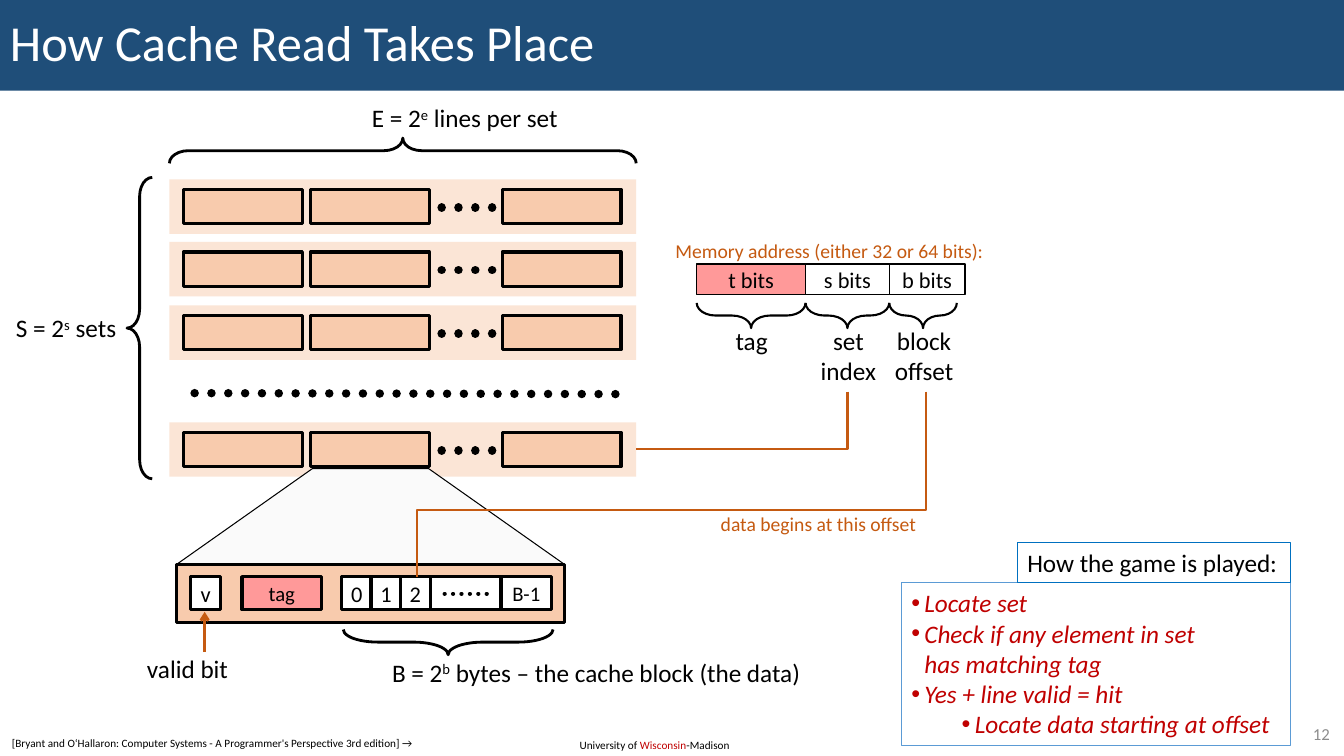
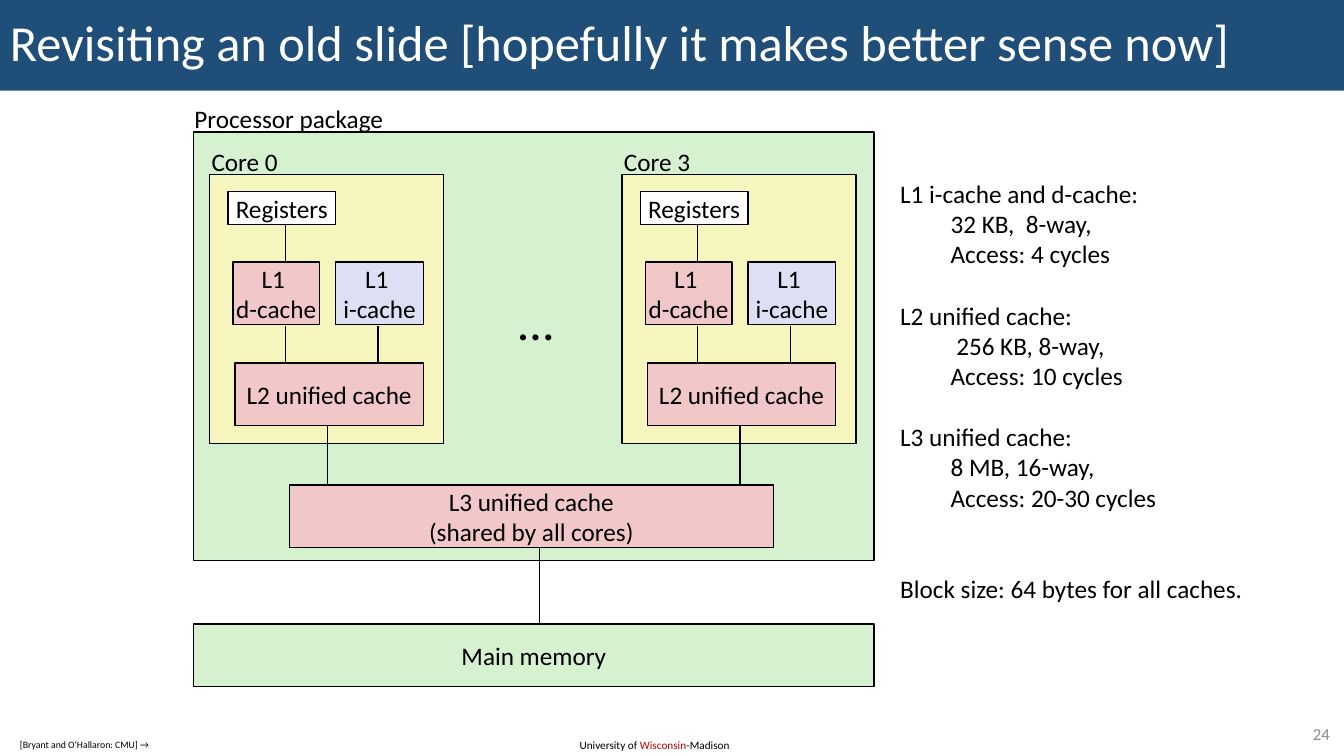
"""Builds two lecture slides on how processor caches work."""
from lxml.etree import SubElement
from pptx import Presentation
from pptx.dml.color import RGBColor
from pptx.enum.dml import MSO_LINE
from pptx.enum.shapes import MSO_CONNECTOR as CONN, MSO_SHAPE as SHAPE
from pptx.enum.text import MSO_ANCHOR as ANCHOR, MSO_AUTO_SIZE as FIT, PP_ALIGN as ALIGN
from pptx.oxml.ns import qn
from pptx.util import Inches, Pt

FONT = "Calibri"
C = {
    "black": "000000", "white": "FFFFFF", "navy": "1F4E79", "grey": "8C8C8C",
    "red": "C00000", "rust": "C55A11", "blue": "0070C0", "sky": "5B9BD5",
    "set": "FBE5D6", "line": "F8CBAD", "tag": "FF9999", "zoom": "FAFAFA",
    "green": "D5F1CF", "yellow": "F6F5BD", "pink": "F1C7C7", "lilac": "DEDFF5",
}


def box(s, x, y, w, h, text="", kind=SHAPE.RECTANGLE, fill=None, line=None, width=1.0,
        adj=None, rot=0, size=18, color="black", accent=None, italic=False,
        align=ALIGN.CENTER, anchor=ANCHOR.MIDDLE, wrap=False):
    """Adds a shape; a list as text alternates plain and accented (or raised) runs."""
    sp = s.shapes.add_shape(kind, Inches(x), Inches(y), Inches(w), Inches(h))
    sp.shadow.inherit = False
    sp.rotation = rot
    if adj is not None:
        sp.adjustments[0] = adj
    if fill:
        sp.fill.solid()
        sp.fill.fore_color.rgb = RGBColor.from_string(C[fill])
    else:
        sp.fill.background()
    if line:
        sp.line.color.rgb = RGBColor.from_string(C[line])
        sp.line.width = Pt(width)
    else:
        sp.line.fill.background()
    if not text:
        return sp
    tf = sp.text_frame
    tf.word_wrap = wrap
    tf.vertical_anchor = anchor
    if anchor == ANCHOR.TOP and not wrap:
        tf.auto_size = FIT.SHAPE_TO_FIT_TEXT
    paragraphs = text.split("\n") if isinstance(text, str) else [text]
    for i, content in enumerate(paragraphs):
        p = tf.add_paragraph() if i else tf.paragraphs[0]
        p.alignment = align
        if isinstance(content, str):
            p.text = content
        else:
            for part in content:
                p.add_run().text = part
        for j, r in enumerate(p.runs):
            accented = not isinstance(content, str) and j % 2
            r.font.name, r.font.size, r.font.italic = FONT, Pt(size), italic
            r.font.color.rgb = RGBColor.from_string(C[accent if accented and accent else color])
            if accented and not accent:
                r.font._element.set("baseline", "30000")
    return sp


def wire(s, x1, y1, x2, y2, color="black", width=1.0, kind=CONN.STRAIGHT, dotted=False, arrow=False):
    """Adds a connector, optionally dotted or with an arrowhead."""
    c = s.shapes.add_connector(kind, Inches(x1), Inches(y1), Inches(x2), Inches(y2))
    SubElement(c.element.spPr, qn("a:effectLst"))
    c.line.color.rgb = RGBColor.from_string(C[color])
    c.line.width = Pt(width)
    ln = c.element.spPr.find(qn("a:ln"))
    if dotted:
        c.line.dash_style = MSO_LINE.ROUND_DOT
        ln.set("cap", "rnd")
    if arrow:
        SubElement(ln, qn("a:tailEnd"), type="arrow")
    return c


LABEL = dict(align=ALIGN.LEFT, anchor=ANCHOR.TOP)

prs = Presentation()
prs.slide_width, prs.slide_height = Inches(13.33), Inches(7.5)

frames = [
    ("How Cache Read Takes Place", "12",
     "[Bryant and O‘Hallaron: Computer Systems - A Programmer's Perspective 3rd edition] →",
     (0.02, 7.26, 4.31, 0.24), 8),
    ("Revisiting an old slide [hopefully it makes better sense now]", "24",
     "[Bryant and O‘Hallaron: CMU] →", (0.1, 7.28, 1.5, 0.22), 7),
]
slides = []
for title, number, source, place, size in frames:
    s = prs.slides.add_slide(prs.slide_layouts[6])
    box(s, 5.65, 7.28, 1.72, 0.24, ["University of ", "Wisconsin", "-Madison"],
        size=8, accent="red", wrap=True, **LABEL)
    sp = box(s, 0, 0, 13.33, 0.9, title, fill="navy", size=36, color="white",
             align=ALIGN.LEFT, wrap=True)
    sp.text_frame.paragraphs[0].line_spacing = 0.9
    box(s, 12.53, 7.13, 0.76, 0.29, number, size=12, color="grey", align=ALIGN.RIGHT, wrap=True)
    box(s, *place, source, fill="white", size=size, wrap=True, **LABEL)
    slides.append(s)

s = slides[0]
BRACE = dict(kind=SHAPE.LEFT_BRACE, line="black")
for top in (1.78, 2.4, 3.03, 4.19):
    box(s, 1.68, top, 4.63, 0.54, fill="set")
    for x in (1.82, 3.08, 4.98):
        box(s, x, top + 0.1, 1.18, 0.34, fill="line", line="black", width=2.25)
    wire(s, 4.38, top + 0.28, 4.99, top + 0.28, width=6, dotted=True)
wire(s, 1.93, 3.9, 6.16, 3.91, width=6, dotted=True)
box(s, 3.87, -0.82, 0.25, 4.63, rot=90, adj=0.75, width=2, **BRACE)
box(s, 1.26, 1.76, 0.25, 2.99, adj=0.75, width=2, **BRACE)
box(s, 3.59, 0.97, 2.14, 0.4, ["E = 2", "e", " lines per set"], **LABEL)
box(s, 0.06, 3.05, 1.23, 0.4, ["S = 2", "s", " sets"], **LABEL)

box(s, 1.75, 4.65, 3.85, 0.95, kind=SHAPE.TRAPEZOID, adj=1.418, fill="zoom", line="black", width=0.75)
box(s, 1.75, 5.6, 3.85, 0.58, fill="line", line="black", width=2.25)
for x, w, text, size, fill in [
    (1.89, 0.3, "v", 16, "white"), (2.4, 0.79, "tag", 14.8, "tag"),
    (3.39, 0.3, "0", 16, "white"), (3.68, 0.3, "1", 16, "white"), (3.97, 0.3, "2", 16, "white"),
    (4.97, 0.5, "B-1", 14.8, "white"), (4.27, 0.7, "", 16, "white"),
]:
    box(s, x, 5.72, w, 0.33, text, fill=fill, line="black", width=2.25, size=size)
wire(s, 4.41, 5.89, 4.91, 5.89, width=3, dotted=True)
box(s, 1.36, 6.43, 1.04, 0.4, "valid bit", **LABEL)
wire(s, 2.03, 6.47, 2.03, 6.07, color="rust", width=2, arrow=True)
box(s, 4.32, 5.33, 0.25, 2.08, rot=270, adj=1.37, width=2, **BRACE)
box(s, 3.79, 6.47, 4.37, 0.4, ["B = 2", "b", " bytes – the cache block (the data)"], **LABEL)

box(s, 6.6, 2.32, 3.29, 0.34, "Memory address (either 32 or 64 bits):", size=14, color="rust", **LABEL)
for x, w, brace_w, bits, fill, name, name_x, name_w in [
    (6.91, 1.08, 1.08, "t bits", "tag", "tag", 7.19, 0.53),
    (7.99, 0.83, 0.83, "s bits", "white", "set\nindex", 8.03, 0.77),
    (8.82, 0.75, 0.67, "b bits", "white", "block\noffset", 8.76, 0.81),
]:
    box(s, x, 2.62, w, 0.3, bits, fill=fill, line="black", size=16)
    box(s, x + brace_w / 2 - 0.125, 3.13 - brace_w / 2, 0.25, brace_w, rot=270, adj=0.75, width=1.5, **BRACE)
    box(s, name_x, 3.18, name_w, 0.71 if "\n" in name else 0.4, name, anchor=ANCHOR.TOP)

for x, y, w, h, preset, bend in [
    (7.07, 3.12, 0.57, 2.1, "bentConnector2", None),
    (5.74, 2.28, 1.84, 5.05, "bentConnector3", 63800),
]:
    c = wire(s, x, y, x + w, y + h, color="rust", width=2, kind=CONN.ELBOW)
    c.element.spPr.find(qn("a:xfrm")).set("rot", "5400000")
    geom = c.element.spPr.find(qn("a:prstGeom"))
    geom.set("prst", preset)
    if bend:
        SubElement(geom.find(qn("a:avLst")), qn("a:gd"), name="adj1", fmla=f"val {bend}")
box(s, 7.05, 5.03, 2.2, 0.34, "data begins at this offset", size=14, color="rust", **LABEL)

steps = ("Locate set\nCheck if any element in set\vhas matching tag\n"
         "Yes + line valid = hit\nLocate data starting at offset")
sp = box(s, 8.94, 5.78, 3.86, 1.62, steps, fill="white", line="sky", width=0.75,
         color="red", italic=True, wrap=True, **LABEL)
for p, level in zip(sp.text_frame.paragraphs, (0, 0, 0, 1)):
    p.level = level
    pPr = p._p.get_or_add_pPr()
    pPr.set("marL", str(Inches(0.13 + 0.5 * level)))
    pPr.set("indent", str(Inches(-0.13)))
    SubElement(pPr, qn("a:buFont"), typeface="Arial")
    SubElement(pPr, qn("a:buChar"), char="•")
box(s, 10.09, 5.38, 2.71, 0.4, "How the game is played:", line="blue", width=0.75, **LABEL)

s = slides[1]
box(s, 1.83, 0.98, 2.12, 0.4, "Processor package", **LABEL)
box(s, 1.92, 1.31, 6.75, 4.25, fill="green", line="black")
for x, core in ((2.08, "Core 0"), (6.17, "Core 3")):
    box(s, x, 1.73, 2.32, 2.67, fill="yellow", line="black")
    box(s, x - 0.08, 1.4, 0.87, 0.4, core, **LABEL)
    for dx, y, w, h, text, fill in [
        (0.18, 1.9, 1.07, 0.33, "Registers", "white"),
        (0.23, 2.6, 0.86, 0.62, "L1 \nd-cache", "pink"),
        (1.25, 2.6, 0.87, 0.62, "L1 \ni-cache", "lilac"),
        (0.25, 3.6, 1.87, 0.62, "L2 unified cache", "pink"),
    ]:
        box(s, x + dx, y, w, h, text, fill=fill, line="black")
    for dx, y1, y2 in ((0.75, 2.23, 2.6), (0.75, 3.23, 3.6), (1.67, 3.23, 3.6), (1.17, 4.23, 4.81)):
        wire(s, x + dx, y1, x + dx, y2)
box(s, 4.92, 2.83, 0.79, 0.71, "…", size=36, anchor=ANCHOR.TOP)
box(s, 2.87, 4.81, 4.8, 0.62, "L3 unified cache\n(shared by all cores)", fill="pink", line="black")
box(s, 1.92, 6.19, 6.75, 0.62, "Main memory", fill="green", line="black")
wire(s, 5.35, 5.44, 5.35, 6.19)

facts = ("L1 i-cache and d-cache:\n32 KB,  8-way,\nAccess: 4 cycles\n"
         "L2 unified cache:\n 256 KB, 8-way,\nAccess: 10 cycles\n"
         "L3 unified cache:\n8 MB, 16-way,\nAccess: 20-30 cycles\n"
         "Block size: 64 bytes for all caches.")
sp = box(s, 8.83, 1.72, 3.97, 4.34, facts, wrap=True, **LABEL)
for i, p in enumerate(sp.text_frame.paragraphs):
    if i % 3:
        p.level = 1
        p._p.get_or_add_pPr().set("marL", str(Inches(0.5)))
    elif i:
        p.space_before = Pt(44 if i == 9 else 22)

prs.save("out.pptx")
